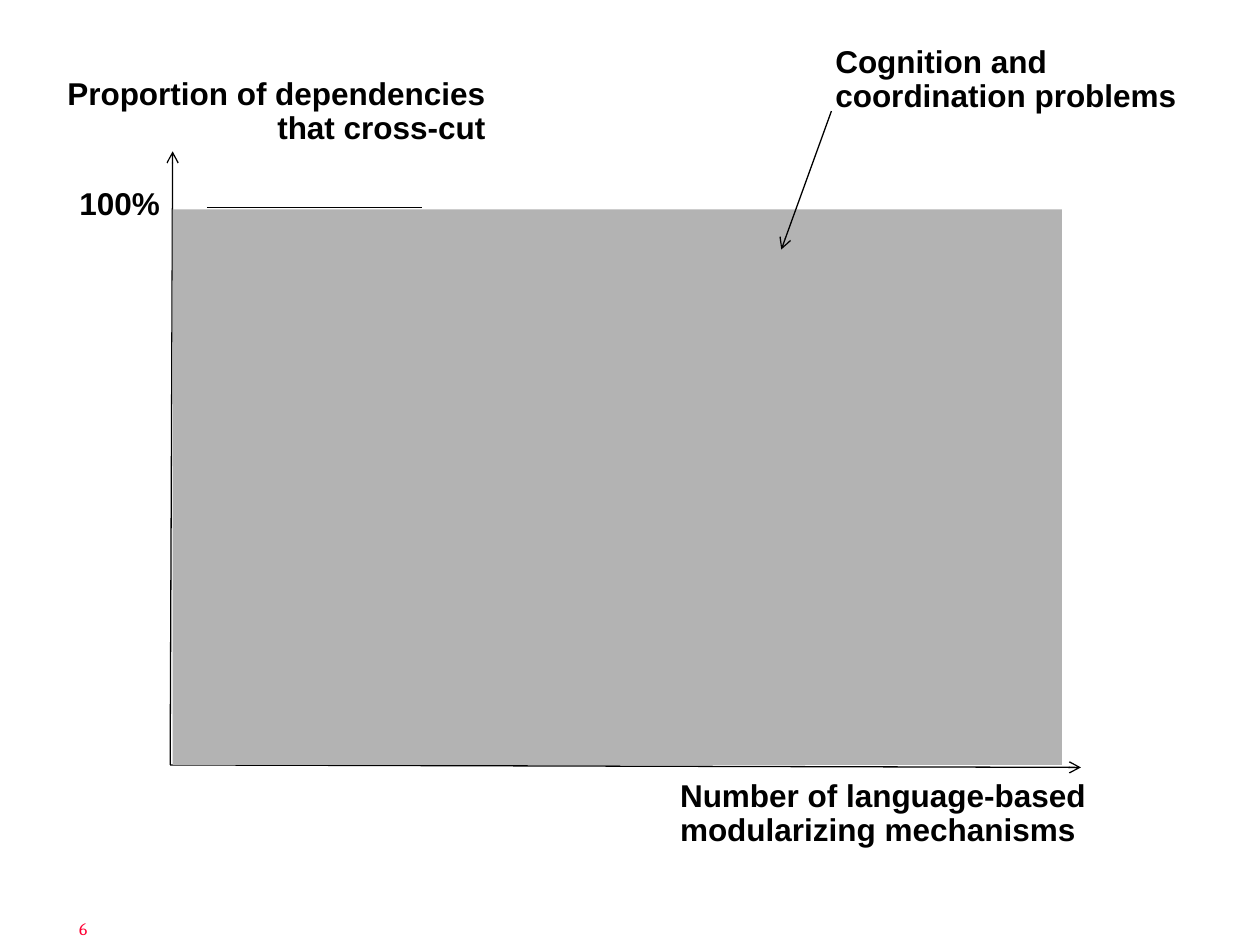
from lxml import etree
from pptx import Presentation
from pptx.dml.color import RGBColor
from pptx.enum.shapes import MSO_CONNECTOR, MSO_SHAPE
from pptx.enum.text import MSO_AUTO_SIZE, PP_ALIGN
from pptx.oxml.ns import qn
from pptx.util import Cm, Pt

BLACK = RGBColor(0x00, 0x00, 0x00)
GRAY = RGBColor(0xB3, 0xB3, 0xB3)
RED = RGBColor(0xFF, 0x00, 0x33)
LEFT, RIGHT = PP_ALIGN.LEFT, PP_ALIGN.RIGHT
STRAIGHT = MSO_CONNECTOR.STRAIGHT
RECTANGLE = MSO_SHAPE.RECTANGLE
NO_AUTOSIZE = MSO_AUTO_SIZE.NONE

LABEL_FONT = {"name": "Arial", "size": Pt(18), "bold": True}
NUMBER_FONT = {"name": "Cambria", "size": Pt(10)}

ORIGIN = (3.43, 15.42)
PROBLEM_AREA = (3.48, 4.22, 17.93, 11.2)
AXES_AND_LEVEL = [
    ((4.17, 4.19), (8.51, 4.19), False),
    (ORIGIN, (3.48, 3.05), True),
    (ORIGIN, (21.79, 15.47), True),
]
PROBLEM_POINTER = ((16.76, 2.24), (15.75, 5.03), True)
LABELS = [
    (["Proportion of dependencies", "that cross-cut"],
     (1.02, 1.45, 9.02, 1.65), RIGHT, LABEL_FONT, BLACK, 0.9),
    (["Number of language-based", "modularizing mechanisms"],
     (13.46, 15.6, 8.79, 1.65), LEFT, LABEL_FONT, BLACK, 0.9),
    (["100%"], (1.35, 3.68, 2.16, 0.97), LEFT, LABEL_FONT, BLACK, 0.9),
    (["Cognition and", "coordination problems"],
     (16.59, 0.81, 7.47, 1.65), LEFT, LABEL_FONT, BLACK, 0.9),
    (["6"], (1.07, 18.39, 0.94, 0.66), RIGHT, NUMBER_FONT, RED, 1.0),
]


def add_line(slide, start, end, arrow):
    line = slide.shapes.add_connector(STRAIGHT, *map(Cm, start + end))
    line.line.color.rgb = BLACK
    line.line.width = Pt(0.75)
    if arrow:
        outline = line.line._get_or_add_ln()
        etree.SubElement(outline, qn("a:tailEnd"), type="arrow")
    etree.SubElement(line._element.spPr, qn("a:effectLst"))


def add_label(slide, rows, place, align, font, color, spacing):
    frame = slide.shapes.add_textbox(*map(Cm, place)).text_frame
    frame.word_wrap = False
    frame.auto_size = NO_AUTOSIZE
    frame.text = "\n".join(rows)
    for paragraph in frame.paragraphs:
        paragraph.alignment = align
        paragraph.line_spacing = spacing
        for key, value in font.items():
            setattr(paragraph.font, key, value)
        paragraph.font.color.rgb = color


def main():
    deck = Presentation()
    deck.slide_width, deck.slide_height = Cm(25.4), Cm(19.05)
    slide = deck.slides.add_slide(deck.slide_layouts[6])

    for line in AXES_AND_LEVEL:
        add_line(slide, *line)

    area = slide.shapes.add_shape(RECTANGLE, *map(Cm, PROBLEM_AREA))
    area.shadow.inherit = False
    area.fill.solid()
    area.fill.fore_color.rgb = GRAY
    area.line.fill.background()

    for label in LABELS:
        add_label(slide, *label)
    add_line(slide, *PROBLEM_POINTER)

    deck.save("out.pptx")


if __name__ == "__main__":
    main()
